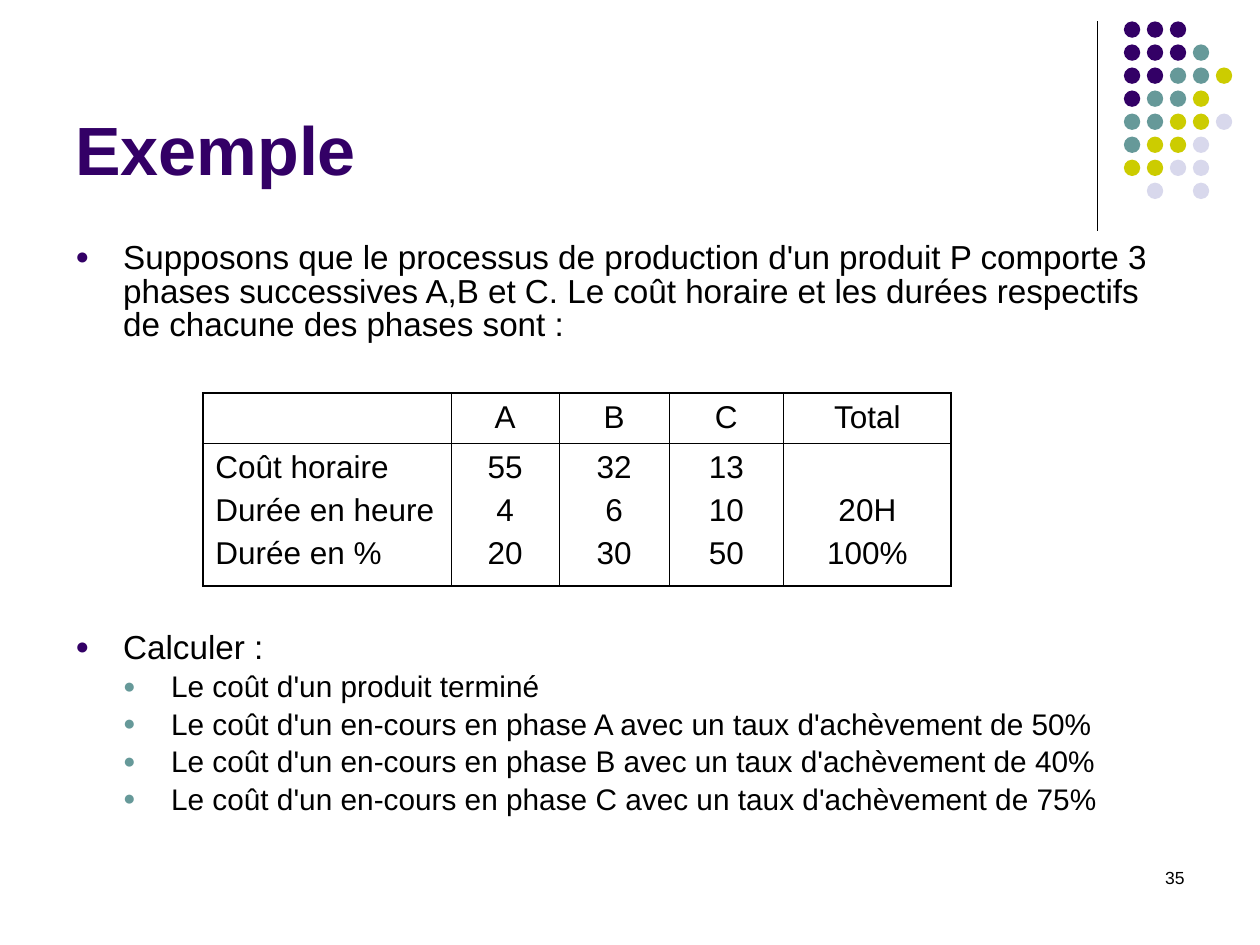
from lxml import etree
from pptx import Presentation
from pptx.dml.color import RGBColor
from pptx.enum import shapes, text
from pptx.oxml.ns import qn
from pptx.util import Inches, Pt

BLACK = RGBColor(0x00, 0x00, 0x00)
PURPLE = RGBColor(0x33, 0x00, 0x66)
TEAL = RGBColor(0x66, 0x99, 0x99)
OLIVE = RGBColor(0xCC, 0xCC, 0x00)
LILAC = RGBColor(0xD8, 0xD8, 0xEC)
FONT = "Arial"

DOT_COLORS = {"P": PURPLE, "T": TEAL, "O": OLIVE, "L": LILAC}
DOT_ROWS = ["PPP", "PPPT", "PPTTO", "PTTO", "TTOOL", "TOOL", "OOLL", " L L"]

INTRO = ("Supposons que le processus de production d'un produit P comporte 3 "
         "phases successives A,B et C. Le coût horaire et les durées respectifs "
         "de chacune des phases sont :")
TASKS = [
    "Le coût d'un produit terminé",
    "Le coût d'un en-cours en phase A avec un taux d'achèvement de 50%",
    "Le coût d'un en-cours en phase B avec un taux d'achèvement de 40%",
    "Le coût d'un en-cours en phase C avec un taux d'achèvement de 75%",
]

COL_WIDTHS = [1.97, 0.86, 0.87, 0.91, 1.33]
ROW_HEIGHTS = [0.4, 1.13]
CELLS = [
    [[], ["A"], ["B"], ["C"], ["Total"]],
    [["Coût horaire", "Durée en heure", "Durée en %"],
     ["55", "4", "20"], ["32", "6", "30"], ["13", "10", "50"],
     ["20H", "100%"]],
]
CELL_LINE = 0.34


def add_bullet(p, color, level):
    pPr = p._p.get_or_add_pPr()
    pPr.set("marL", str(Inches(0.38 * (level + 1))))
    pPr.set("indent", str(Inches(-0.38)))
    clr = etree.SubElement(pPr, qn("a:buClr"))
    etree.SubElement(clr, qn("a:srgbClr"), val=str(color))
    etree.SubElement(pPr, qn("a:buSzPct"), val="70000")
    etree.SubElement(pPr, qn("a:buFont"), typeface=FONT)
    etree.SubElement(pPr, qn("a:buChar"), char="●")


def add_text(tf, content, size, color=BLACK, bold=False, align=None,
             before=0, spacing=None, bullet=None, level=0):
    """Fill the empty first paragraph of tf, or append a new one."""
    p = tf.paragraphs[0]
    if p.runs:
        p = tf.add_paragraph()
        p.space_before = Pt(before)
    p.level = level
    if align is not None:
        p.alignment = align
    if spacing:
        p.line_spacing = spacing
    if bullet is not None:
        add_bullet(p, bullet, level)
    r = p.add_run()
    r.text = content
    f = r.font
    f.name, f.size, f.bold = FONT, Pt(size), bold
    f.color.rgb = color


def add_box(s, left, top, width, height, anchor=text.MSO_ANCHOR.TOP):
    tf = s.shapes.add_textbox(Inches(left), Inches(top),
                              Inches(width), Inches(height)).text_frame
    tf.word_wrap = True
    tf.vertical_anchor = anchor
    return tf


def add_rule(s, x, top, bottom):
    line = s.shapes.add_connector(shapes.MSO_CONNECTOR.STRAIGHT, Inches(x),
                                  Inches(top), Inches(x), Inches(bottom))
    line.line.color.rgb = BLACK
    line.line.width = Pt(0.75)
    etree.SubElement(line._element.spPr, qn("a:effectLst"))


def add_dots(s, left, top, width, height, size=0.13):
    group = s.shapes.add_group_shape()
    step_x = (width - size) / (max(map(len, DOT_ROWS)) - 1)
    step_y = (height - size) / (len(DOT_ROWS) - 1)
    for i, row in enumerate(DOT_ROWS):
        for j, key in enumerate(row):
            if key == " ":
                continue
            sp = group.shapes.add_shape(
                shapes.MSO_SHAPE.OVAL, Inches(left + j * step_x),
                Inches(top + i * step_y), Inches(size), Inches(size))
            sp.shadow.inherit = False
            sp.fill.solid()
            sp.fill.fore_color.rgb = DOT_COLORS[key]
            sp.line.fill.background()


def add_body(s, left, top, width, height):
    tf = add_box(s, left, top, width, height)
    add_text(tf, INTRO, 19, spacing=0.84, bullet=PURPLE)
    # The space before this paragraph leaves room for the table
    add_text(tf, "Calculer :", 19, before=165.5, spacing=0.84, bullet=PURPLE)
    for task in TASKS:
        add_text(tf, task, 17, before=4.2, spacing=0.84, bullet=TEAL, level=1)


def set_borders(cell, outer):
    """Draw the four sides; those named in outer are heavier."""
    tcPr = cell._tc.get_or_add_tcPr()
    for i, side in enumerate("LRTB"):
        ln = etree.Element(qn("a:ln" + side),
                           w=str(Pt(1.08 if side in outer else 0.45)))
        fill = etree.SubElement(ln, qn("a:solidFill"))
        etree.SubElement(fill, qn("a:srgbClr"), val=str(BLACK))
        tcPr.insert(i, ln)


def add_cost_table(s, left, top):
    rows, cols = len(ROW_HEIGHTS), len(COL_WIDTHS)
    table = s.shapes.add_table(
        rows, cols, Inches(left), Inches(top),
        Inches(sum(COL_WIDTHS)), Inches(sum(ROW_HEIGHTS))).table
    table.first_row = table.horz_banding = False
    for col, width in zip(table.columns, COL_WIDTHS):
        col.width = Inches(width)
    for row, height in zip(table.rows, ROW_HEIGHTS):
        row.height = Inches(height)
    for i, row in enumerate(CELLS):
        row_lines = max(map(len, row))
        for j, lines in enumerate(row):
            cell = table.cell(i, j)
            cell.fill.background()
            missing = row_lines - len(lines) if lines else 0
            cell.margin_top = Inches(0.05 + missing * CELL_LINE)
            align = text.PP_ALIGN.CENTER if j else text.PP_ALIGN.LEFT
            for line in lines:
                add_text(cell.text_frame, line, 18, align=align, before=4.5)
            sides = {"L": j == 0, "R": j == cols - 1,
                     "T": i == 0, "B": i == rows - 1}
            set_borders(cell, [k for k, on in sides.items() if on])


def main():
    prs = Presentation()
    prs.slide_width, prs.slide_height = Inches(10), Inches(7.5)
    s = prs.slides.add_slide(prs.slide_layouts[6])
    add_rule(s, 8.71, 0.17, 1.83)
    add_dots(s, 8.92, 0.17, 0.86, 1.41)
    add_text(add_box(s, 7.17, 6.83, 2.33, 0.5), "35", 10,
             align=text.PP_ALIGN.RIGHT)
    add_text(add_box(s, 0.5, 0.13, 8.25, 1.42, text.MSO_ANCHOR.BOTTOM),
             "Exemple", 39, PURPLE, bold=True)
    add_body(s, 0.5, 1.88, 9, 4.82)
    add_cost_table(s, 1.61, 3.12)
    prs.save("out.pptx")


if __name__ == "__main__":
    main()
